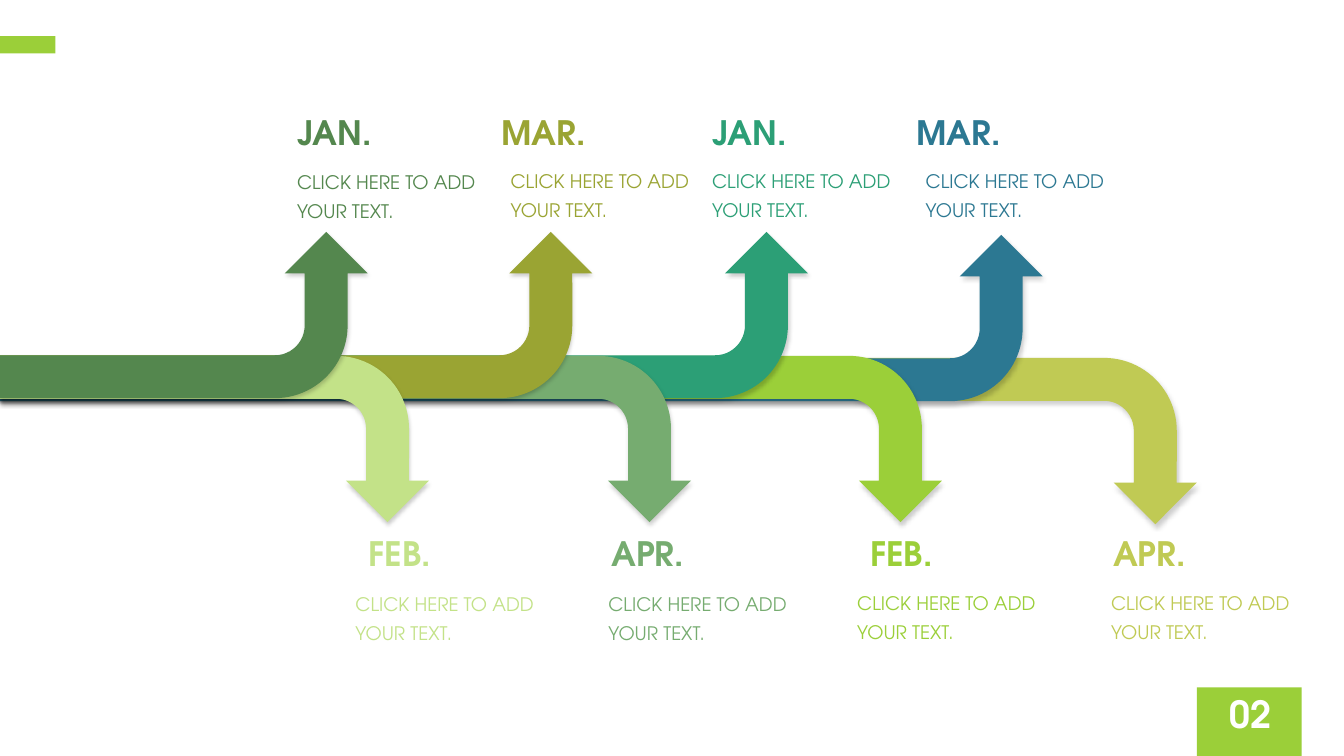
from lxml import etree
from pptx import Presentation
from pptx.dml.color import RGBColor
from pptx.enum.shapes import MSO_SHAPE
from pptx.enum.text import MSO_ANCHOR, MSO_AUTO_SIZE, PP_ALIGN
from pptx.oxml.ns import qn
from pptx.util import Inches, Pt

RECTANGLE, BENT_ARROW = MSO_SHAPE.RECTANGLE, MSO_SHAPE.BENT_ARROW
TOP, MIDDLE = MSO_ANCHOR.TOP, MSO_ANCHOR.MIDDLE
LEFT, CENTER = PP_ALIGN.LEFT, PP_ALIGN.CENTER
GROW, FIXED = MSO_AUTO_SIZE.SHAPE_TO_FIT_TEXT, MSO_AUTO_SIZE.NONE

FONT = "TeX Gyre Adventor"
COLORS = {
    "forest": "54874E", "pale": "C3E288", "olive": "9AA433", "sage": "76AC70",
    "teal": "2C9F76", "lime": "9BCF39", "blue": "2C7892", "khaki": "C0CA54",
    "white": "FFFFFF", "shadow": "000000",
}
DETAIL = "CLICK HERE TO ADD YOUR TEXT."
ARROW_HEIGHT = 1.65
ARROW_ADJUSTMENTS = (0.258, 0.25, 0.25, 0.438)
MONTH_TOP = {True: 1.06, False: 5.24}

# Month, month width, color, points up, arrow reach, arrow top,
# month left, detail left, detail top
MILESTONES = [
    ("JAN.", 0.96, "forest", True, 3.65, 2.3, 2.85, 2.85, 1.58),
    ("FEB.", 0.83, "pale", False, 4.26, 3.53, 3.56, 3.43, 5.76),
    ("MAR.", 1.04, "olive", True, 5.88, 2.3, 4.88, 4.97, 1.57),
    ("APR.", 0.93, "sage", False, 6.86, 3.53, 5.97, 5.94, 5.76),
    ("JAN.", 0.96, "teal", True, 8.02, 2.3, 6.97, 6.97, 1.57),
    ("FEB.", 0.83, "lime", False, 9.35, 3.53, 8.54, 8.41, 5.75),
    ("MAR.", 1.04, "blue", True, 10.35, 2.33, 9, 9.09, 1.57),
    ("APR.", 0.93, "khaki", False, 11.88, 3.55, 10.95, 10.93, 5.75),
]


def rgb(color):
    return RGBColor.from_string(COLORS[color])


def add_filled(shapes, preset, box, color):
    shape = shapes.add_shape(preset, *map(Inches, box))
    shape.shadow.inherit = False
    shape.fill.solid()
    shape.fill.fore_color.rgb = rgb(color)
    shape.line.fill.background()
    return shape


def add_text(shapes, text, box, *, size, color, bold=False, align=LEFT,
             anchor=MIDDLE, wrap=True, fit=GROW, line_spacing=None, before=None):
    label = shapes.add_textbox(*map(Inches, box))
    frame = label.text_frame
    frame.word_wrap = wrap
    frame.auto_size = fit
    frame.vertical_anchor = anchor
    paragraph = frame.paragraphs[0]
    paragraph.alignment = align
    paragraph.line_spacing = line_spacing
    paragraph.space_before = before
    run = paragraph.add_run()
    run.text = text
    run.font.name = FONT
    run.font.size = Pt(size)
    run.font.bold = bold
    run.font.color.rgb = rgb(color)


def add_soft_shadow(shape):
    effects = shape._element.spPr.find(qn("a:effectLst"))
    shadow = etree.SubElement(
        effects, qn("a:outerShdw"), blurRad=str(Pt(3.1)), dist=str(Pt(1.8)),
        dir="5400000", rotWithShape="0")
    shade = etree.SubElement(shadow, qn("a:srgbClr"), val=COLORS["shadow"])
    etree.SubElement(shade, qn("a:alpha"), val="20000")


def add_timeline_arrow(shapes, color, up, reach, top):
    """Run from the left slide edge to reach, then bend up or down."""
    # The unrotated frame shares its center with the turned arrow
    left = (reach - ARROW_HEIGHT) / 2
    frame_top = top + (ARROW_HEIGHT - reach) / 2
    arrow = add_filled(shapes, BENT_ARROW,
                       (left, frame_top, ARROW_HEIGHT, reach), color)
    for index, value in enumerate(ARROW_ADJUSTMENTS):
        arrow.adjustments[index] = value
    arrow.rotation = 90 if up else 270
    frame = arrow._element.spPr.find(qn("a:xfrm"))
    frame.set("flipH", "1")
    if not up:
        frame.set("flipV", "1")
    add_soft_shadow(arrow)


def add_milestone_text(shapes, month, width, color, up,
                       month_left, detail_left, detail_top):
    milestone = shapes.add_group_shape().shapes
    add_text(milestone, month, (month_left, MONTH_TOP[up], width, 0.5),
             size=24, color=color, bold=True, wrap=False)
    add_text(milestone, DETAIL, (detail_left, detail_top, 2.03, 0.68),
             size=13.3, color=color, line_spacing=1.3)


def main():
    deck = Presentation()
    deck.slide_width, deck.slide_height = Inches(13.34), Inches(7.5)
    shapes = deck.slides.add_slide(deck.slide_layouts[6]).shapes

    # Corner accent and page number
    add_filled(shapes, RECTANGLE, (0, 0.36, 0.55, 0.17), "lime")
    add_filled(shapes, RECTANGLE, (11.88, 6.82, 1.04, 0.68), "lime")
    add_text(shapes, "02", (11.89, 6.81, 1.04, 0.54), size=26.7, color="white",
             bold=True, align=CENTER, anchor=TOP, fit=FIXED, before=Pt(5))

    # Arrows: the longest lies at the back
    for _, _, color, up, reach, top, *_ in reversed(MILESTONES):
        add_timeline_arrow(shapes, color, up, reach, top)

    # Month headings with their details
    for month, width, color, up, _, _, *places in MILESTONES:
        add_milestone_text(shapes, month, width, color, up, *places)

    deck.save("out.pptx")


main()
